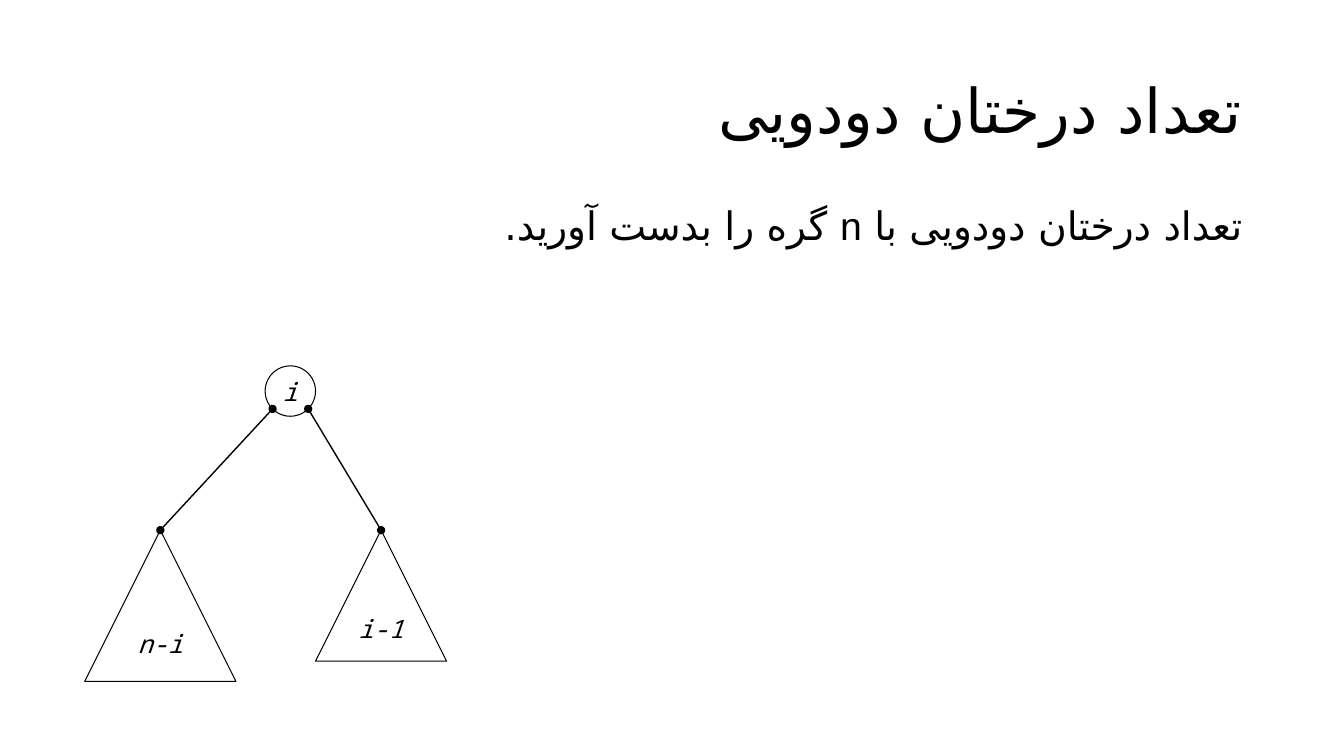
"""Build a slide about counting binary trees, with a root and two subtrees."""
from dataclasses import dataclass
from math import sqrt

from lxml import etree
from pptx import Presentation
from pptx.dml.color import RGBColor
from pptx.enum.shapes import MSO_CONNECTOR, MSO_SHAPE
from pptx.enum.text import MSO_ANCHOR, PP_ALIGN
from pptx.oxml.ns import qn
from pptx.util import Inches, Pt

ELLIPSE = MSO_SHAPE.OVAL
TRIANGLE = MSO_SHAPE.ISOSCELES_TRIANGLE
STRAIGHT = MSO_CONNECTOR.STRAIGHT
TOP, MIDDLE = MSO_ANCHOR.TOP, MSO_ANCHOR.MIDDLE
CENTER, RIGHT = PP_ALIGN.CENTER, PP_ALIGN.RIGHT
TITLE_ONLY = 5


@dataclass(frozen=True)
class Theme:
    """Colours, fonts, type sizes and line widths."""
    ink: RGBColor = RGBColor(0, 0, 0)
    title_font: str = "Roboto"
    body_font: str = "Arial"
    persian_font: str = "DejaVu Sans"
    label_font: str = "Noto Sans Mono"
    title_size: float = 44
    body_size: float = 28
    label_size: float = 18
    outline: float = 0.75
    edge: float = 1


class TreePage:
    """Hold the theme and the page, and draw each kind of element."""

    def __init__(self, page, theme):
        """Keep the page and its theme."""
        self.page = page
        self.theme = theme

    def style(self, para, font_name, size, align):
        """Format one paragraph."""
        para.alignment = align
        para.font.name = font_name
        para.font.size = Pt(size)
        para.font.color.rgb = self.theme.ink

    def write_persian(self, box, text, font_name, size, anchor):
        """Write a right-to-left line into a box."""
        frame = box.text_frame
        frame.word_wrap = True
        frame.vertical_anchor = anchor
        para = frame.paragraphs[0]
        para.text = text
        para.line_spacing = 0.9
        self.style(para, font_name, size, RIGHT)
        properties = para._p.get_or_add_pPr()
        properties.set("rtl", "1")
        script_font = etree.SubElement(properties.find(qn("a:defRPr")), qn("a:cs"))
        script_font.set("typeface", self.theme.persian_font)

    def title(self, text, left, top, width, height):
        """Place and fill the title placeholder."""
        box = self.page.shapes.title
        box.left, box.top = Inches(left), Inches(top)
        box.width, box.height = Inches(width), Inches(height)
        self.write_persian(box, text, self.theme.title_font,
                           self.theme.title_size, MIDDLE)

    def body(self, text, left, top, width, height):
        """Add a text box with body text."""
        box = self.page.shapes.add_textbox(
            Inches(left), Inches(top), Inches(width), Inches(height))
        self.write_persian(box, text, self.theme.body_font,
                           self.theme.body_size, TOP)

    def node(self, kind, label, center_x, top, size):
        """Add an outlined shape with an italic label."""
        shape = self.page.shapes.add_shape(
            kind, Inches(center_x - size / 2), Inches(top),
            Inches(size), Inches(size))
        shape.shadow.inherit = False
        shape.fill.background()
        shape.line.color.rgb = self.theme.ink
        shape.line.width = Pt(self.theme.outline)
        frame = shape.text_frame
        frame.word_wrap = False
        frame.vertical_anchor = MIDDLE
        para = frame.paragraphs[0]
        para.text = label
        self.style(para, self.theme.label_font, self.theme.label_size, CENTER)
        para.font.italic = True

    def edge(self, start, end):
        """Join two points with a line that has a dot at each end."""
        line = self.page.shapes.add_connector(
            STRAIGHT, *(Inches(value) for value in (*start, *end)))
        line.line.color.rgb = self.theme.ink
        line.line.width = Pt(self.theme.edge)
        outline = line.line._get_or_add_ln()
        for tag in ("a:headEnd", "a:tailEnd"):
            etree.SubElement(outline, qn(tag)).set("type", "oval")
        etree.SubElement(line._element.spPr, qn("a:effectLst"))


def main():
    """Build and save the deck."""
    deck = Presentation()
    deck.slide_width, deck.slide_height = Inches(13.33), Inches(7.5)
    page = deck.slides.add_slide(deck.slide_layouts[TITLE_ONLY])
    tree = TreePage(page, Theme())

    tree.title("تعداد درختان دودویی", 0.92, 0.4, 11.5, 1.45)
    tree.body("تعداد درختان دودویی با n گره را بدست آورید.", 0.92, 2, 11.5, 4.76)

    root_x, root_top, root_size = 2.88, 3.63, 0.5
    subtree_top = 5.26
    subtrees = (("n-i", 1.59, 1.5, -1), ("i-1", 3.78, 1.3, 1))
    offset = root_size / 2 / sqrt(2)
    joint_y = root_top + root_size / 2 + offset

    tree.node(ELLIPSE, "i", root_x, root_top, root_size)
    for label, center_x, size, side in subtrees:
        tree.node(TRIANGLE, label, center_x, subtree_top, size)
        tree.edge((root_x + side * offset, joint_y), (center_x, subtree_top))

    deck.save("out.pptx")


if __name__ == "__main__":
    main()
